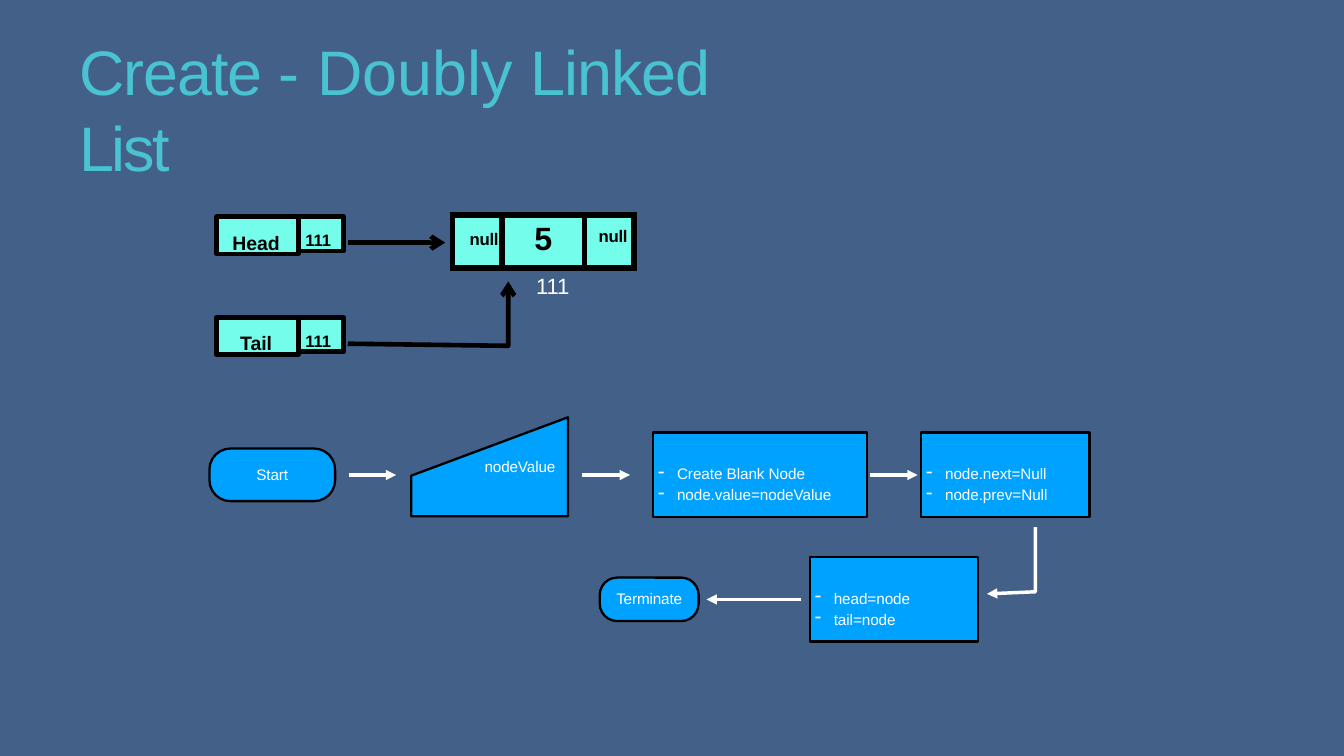
from dataclasses import dataclass

from lxml.etree import SubElement
from pptx import Presentation
from pptx.dml.color import RGBColor
from pptx.enum.shapes import MSO_CONNECTOR, MSO_SHAPE
from pptx.enum.text import MSO_ANCHOR, MSO_AUTO_SIZE, PP_ALIGN
from pptx.oxml.ns import qn
from pptx.util import Pt


@dataclass(frozen=True)
class Theme:
    font: str = "Arial"
    background: str = "436089"
    title: str = "49C3D2"
    node: str = "73FDEA"
    step: str = "00A2FF"
    dark: str = "000000"
    light: str = "FFFFFF"
    title_size: float = 44.9
    value_size: float = 23
    address_size: float = 15.8
    label_size: float = 13.9
    null_size: float = 12
    pointer_size: float = 11.8
    step_size: float = 10.9
    step_line: float = 1.65
    arrow_line: float = 2.47
    node_line: float = 3.3
    table_line: float = 4.5


THEME = Theme()

# Content: text runs carry their letter spacing in points
TITLE = [("Create ", -0.8), ("- Doubly ", 0), ("Linked ", -0.7), ("List", -1.8)]
POINTERS = [("Head", "111"), ("Tail", "111")]
NODE_CELLS = [  # text, size, column width, left margin, top margin, alignment
    ("null", THEME.null_size, 35.3, 12.2, 11, PP_ALIGN.LEFT),
    ("5", THEME.value_size, 59, 0, 4.5, PP_ALIGN.CENTER),
    ("null", THEME.null_size, 35.3, 10, 9, PP_ALIGN.LEFT),
]
NODE_ADDRESS = "111"
TERMINALS = [("Start", (149.6, 320.4, 89.8, 37.6)),
             ("Terminate", (428.4, 412.6, 70.6, 31))]
INPUT = ("nodeValue", [(293.8, 339.8), (405.7, 298.1), (405.7, 368.8), (293.8, 368.8)])
PROCESSES = [
    (["Create Blank Node", "node.value=nodeValue"], (466.6, 308.9, 152.9, 60.5)),
    (["node.next=Null", "node.prev=Null"], (658.1, 308.9, 120.2, 60.5)),
    (["head=node", "tail=node"], (578.6, 397.8, 120.2, 60.5)),
]
FLOW_ARROWS = [[(left, 339.3), (left + 34, 339.3)] for left in (249, 416, 621.5)] + [
    [(739.5, 376.5), (739.5, 422.7), (705, 424.2)],
    [(572.5, 428.2), (504.7, 428.2)],
]
POINTER_ARROWS = [
    [(248.4, 173.3), (318, 173.3)],
    [(248.4, 245.5), (363, 247), (363, 201)],
]


def colour(value):
    return RGBColor.from_string(value)


def points(values):
    return [Pt(value) for value in values]


def set_values(target, values):
    for name, value in values.items():
        setattr(target, name, value)


def set_frame(frame, left=0, top=0, right=0, bottom=0, anchor=MSO_ANCHOR.TOP):
    set_values(frame, {
        "word_wrap": True, "auto_size": MSO_AUTO_SIZE.NONE, "vertical_anchor": anchor,
        "margin_left": Pt(left), "margin_top": Pt(top),
        "margin_right": Pt(right), "margin_bottom": Pt(bottom),
    })


def write(paragraph, runs, size, text_colour, bold=False, alignment=PP_ALIGN.LEFT):
    paragraph.alignment = alignment
    for text, spacing in runs:
        run = paragraph.add_run()
        run.text = text
        set_values(run.font, {"name": THEME.font, "size": Pt(size), "bold": bold})
        run.font.color.rgb = colour(text_colour)
        run.font._element.set("spc", str(round(spacing * 100)))


def style(shape, fill, line_width):
    shape.shadow.inherit = False
    shape.fill.solid()
    shape.fill.fore_color.rgb = colour(fill)
    shape.line.color.rgb = colour(THEME.dark)
    shape.line.width = Pt(line_width)


def add_box(kind, box, fill, line_width):
    shape = slide.shapes.add_shape(kind, *points(box))
    style(shape, fill, line_width)
    return shape


def add_outline(corners, close):
    start, *rest = [tuple(points(corner)) for corner in corners]
    builder = slide.shapes.build_freeform(*start)
    builder.add_line_segments(rest, close=close)
    return builder.convert_to_shape()


def add_arrow(route, line_colour, width, head):
    if len(route) == 2:
        arrow = slide.shapes.add_connector(
            MSO_CONNECTOR.STRAIGHT, *points(route[0] + route[1]))
    else:
        arrow = add_outline(route, close=False)
        arrow.fill.background()
    arrow.line.color.rgb = colour(line_colour)
    arrow.line.width = Pt(width)
    properties = arrow.element.spPr
    SubElement(properties.find(qn("a:ln")), qn("a:tailEnd"), type=head)
    SubElement(properties, qn("a:effectLst"))


def add_borders(cell):
    properties = cell._tc.get_or_add_tcPr()
    for side in ("lnL", "lnR", "lnT", "lnB"):
        border = SubElement(properties, qn("a:" + side), w=str(Pt(THEME.table_line)))
        fill = SubElement(border, qn("a:solidFill"))
        SubElement(fill, qn("a:srgbClr"), val=THEME.dark)


def add_dash(paragraph):
    properties = paragraph._p.get_or_add_pPr()
    properties.set("marL", str(Pt(17)))
    properties.set("indent", str(-Pt(13.5)))
    SubElement(properties, qn("a:buSzPct"), val="125000")
    SubElement(properties, qn("a:buChar"), char="-")


# Slide and title
presentation = Presentation()
set_values(presentation, {"slide_width": Pt(960), "slide_height": Pt(540)})
slide = presentation.slides.add_slide(presentation.slide_layouts[5])
slide.background.fill.solid()
slide.background.fill.fore_color.rgb = colour(THEME.background)

title = slide.shapes.title
set_values(title, dict(zip(("left", "top", "width", "height"),
                           points((15.8, 20.2, 551.5, 111)))))
set_frame(title.text_frame, left=41, top=3)
heading = title.text_frame.paragraphs[0]
write(heading, TITLE, THEME.title_size, THEME.title)
heading.line_spacing = Pt(54)

# Head and tail pointers
for row, (label, address) in enumerate(POINTERS):
    top = 154.8 + 72 * row
    for text, size, left, width, height, right, bottom in (
            (label, THEME.label_size, 154.8, 58.3, 26.6, 2, 0),
            (address, THEME.pointer_size, 213.1, 32.4, 24.5, 4, 1)):
        box = add_box(MSO_SHAPE.RECTANGLE, (left, top, width, height),
                      THEME.node, THEME.node_line)
        set_frame(box.text_frame, right=right, bottom=bottom, anchor=MSO_ANCHOR.BOTTOM)
        write(box.text_frame.paragraphs[0], [(text, 0)], size, THEME.dark,
              bold=True, alignment=PP_ALIGN.CENTER)

# Node with its address
node_width = sum(cell[2] for cell in NODE_CELLS)
table = slide.shapes.add_table(
    1, len(NODE_CELLS), *points((323.3, 153.4, node_width, 38.2))).table
for column, (text, size, width, left, top, alignment) in enumerate(NODE_CELLS):
    table.columns[column].width = Pt(width)
    cell = table.cell(0, column)
    add_borders(cell)
    cell.fill.solid()
    cell.fill.fore_color.rgb = colour(THEME.node)
    set_values(cell, {"margin_left": Pt(left), "margin_top": Pt(top),
                      "margin_right": 0, "margin_bottom": 0})
    write(cell.text_frame.paragraphs[0], [(text, -0.2)], size, THEME.dark, True, alignment)

address_box = slide.shapes.add_textbox(*points((382.3, 193, 28.1, 20.2)))
set_frame(address_box.text_frame, left=0.7, top=1.5)
write(address_box.text_frame.paragraphs[0], [(NODE_ADDRESS, -0.1)],
      THEME.address_size, THEME.light)

# Flowchart steps
for text, box in TERMINALS:
    terminal = add_box(MSO_SHAPE.ROUNDED_RECTANGLE, box, THEME.step, THEME.step_line)
    terminal.adjustments[0] = 0.4
    set_frame(terminal.text_frame, bottom=1, anchor=MSO_ANCHOR.MIDDLE)
    write(terminal.text_frame.paragraphs[0], [(text, -0.1)], THEME.step_size,
          THEME.light, alignment=PP_ALIGN.CENTER)

text, corners = INPUT
input_shape = add_outline(corners, close=True)
style(input_shape, THEME.step, THEME.step_line)
set_frame(input_shape.text_frame, right=9, bottom=1, anchor=MSO_ANCHOR.MIDDLE)
write(input_shape.text_frame.paragraphs[0], [(text, -0.1)], THEME.step_size,
      THEME.light, alignment=PP_ALIGN.RIGHT)

for lines, box in PROCESSES:
    frame = add_box(MSO_SHAPE.RECTANGLE, box, THEME.step, THEME.step_line).text_frame
    set_frame(frame, bottom=9.5, anchor=MSO_ANCHOR.BOTTOM)
    for index, line in enumerate(lines):
        paragraph = frame.add_paragraph() if index else frame.paragraphs[0]
        write(paragraph, [(line, -0.05)], THEME.step_size, THEME.light)
        paragraph.line_spacing = Pt(15)
        add_dash(paragraph)

# Arrows
for route in FLOW_ARROWS:
    add_arrow(route, THEME.light, THEME.arrow_line, "triangle")
for route in POINTER_ARROWS:
    add_arrow(route, THEME.dark, THEME.node_line, "arrow")

presentation.save("out.pptx")
